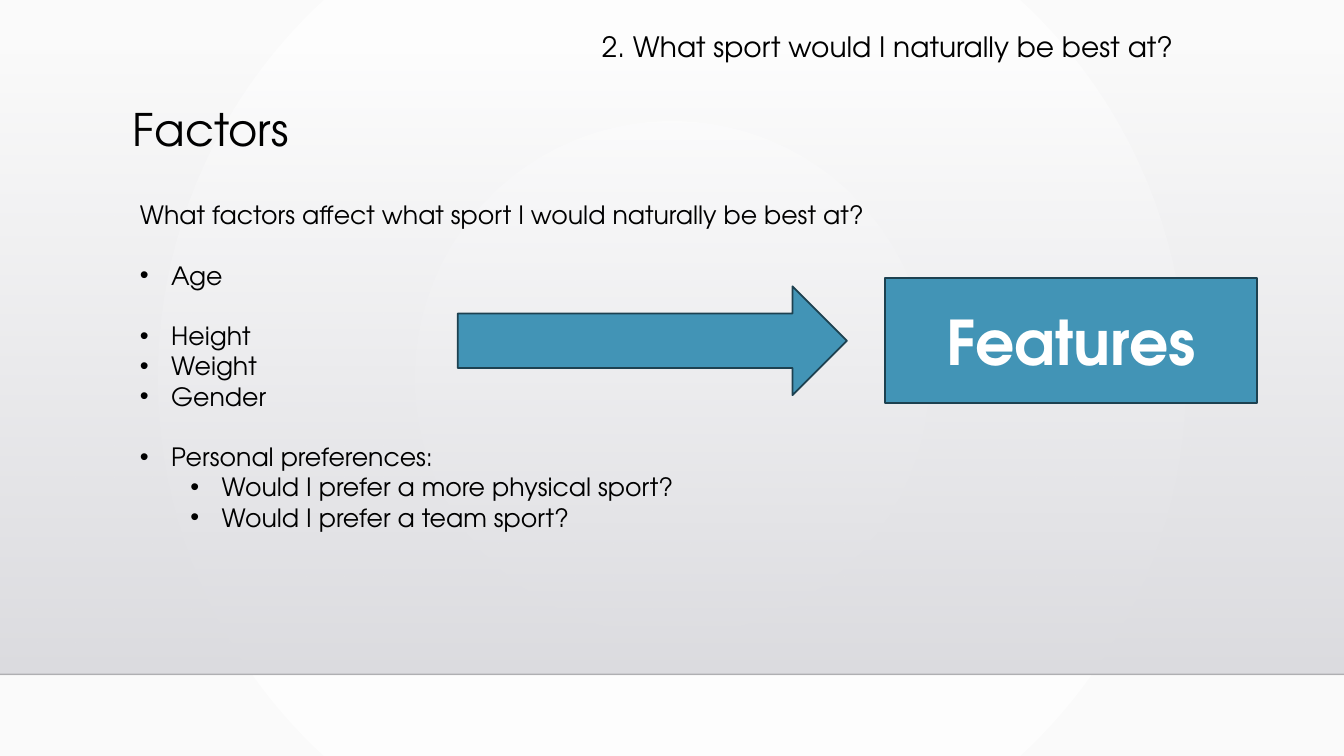
from dataclasses import dataclass

from pptx import Presentation
from pptx.dml.color import RGBColor as Rgb
from pptx.enum.shapes import MSO_CONNECTOR as Link, MSO_SHAPE as Form
from pptx.enum.text import MSO_ANCHOR as Anchor, MSO_AUTO_SIZE as Fit, PP_ALIGN as Align
from pptx.oxml import parse_xml
from pptx.oxml.ns import nsdecls, qn
from pptx.util import Inches, Pt


@dataclass(frozen=True)
class Theme:
    face: str = "TeX Gyre Adventor"
    ink: str = "000000"
    paper: str = "FFFFFF"
    edge: str = "FAFAFA"
    haze: str = "DCDCE0"
    floor: str = "DEDEE2"
    rule: str = "000001"
    accent: str = "4294B6"
    rim: str = "1D4150"
    title: int = 20
    head: int = 32
    body: int = 18
    label: int = 44


THEME = Theme()
COLS, ROWS = 133.3, 75
CELL = Inches(0.1)
PITCH = 1.2
INDENT, STEP = 3.1, 5

FACTORS = [
    ("Age", 0, True),
    ("Height", 0, True),
    ("Weight", 0, False),
    ("Gender", 0, False),
    ("Personal preferences:", 0, True),
    ("Would I prefer a more physical sport?", 1, False),
    ("Would I prefer a team sport?", 1, False),
]


def put(item, form):
    for key, value in form.items():
        setattr(item, key, value)


def cells(*sizes):
    return [round(size * CELL) for size in sizes]


def style(para, text, size, color=THEME.ink, bold=False, **form):
    para.text = text
    put(para, form)
    put(para.font, {"name": THEME.face, "size": Pt(size), "bold": bold})
    para.font.color.rgb = Rgb.from_string(color)


def fade(color, share):
    alpha = parse_xml(f'<a:alpha {nsdecls("a")} val="{share * 1000}"/>')
    color.append(alpha)


def blend(fill, tones):
    fill.gradient()
    for stop, tone in zip(fill.gradient_stops, tones):
        stop.color.rgb = Rgb.from_string(tone)


def frame(slide, box):
    text = slide.shapes.add_textbox(*cells(*box)).text_frame
    put(text, {"word_wrap": True, "vertical_anchor": Anchor.TOP})
    return text


def solid(slide, kind, box):
    shape = slide.shapes.add_shape(kind, *cells(*box))
    shape.shadow.inherit = False
    shape.fill.solid()
    shape.fill.fore_color.rgb = Rgb.from_string(THEME.accent)
    shape.line.color.rgb = Rgb.from_string(THEME.rim)
    shape.line.width = Pt(1.25)
    return shape


def backdrop(slide, box):
    fill = slide.background.fill
    blend(fill, (THEME.paper, THEME.edge))
    grad = slide.background._cSld.find(f".//{qn('a:gradFill')}")
    grad.replace(grad.find(qn("a:lin")), parse_xml(
        f'<a:path {nsdecls("a")} path="circle">'
        '<a:fillToRect l="50000" t="50000" r="50000" b="50000"/></a:path>'))

    left, top, width, height = box
    band = slide.shapes.add_shape(Form.RECTANGLE, *cells(*box))
    band.shadow.inherit = False
    band.line.fill.background()
    blend(band.fill, (THEME.haze, THEME.floor))
    band.fill.gradient_angle = 270
    fade(band._element.spPr.find(f".//{qn('a:srgbClr')}"), 0)

    base = top + height
    rule = slide.shapes.add_connector(
        Link.STRAIGHT, *cells(left, base, left + width, base))
    rule.line.color.rgb = Rgb.from_string(THEME.rule)
    rule.line.width = Pt(1)
    props = rule._element.spPr
    fade(props.find(f".//{qn('a:srgbClr')}"), 20)
    props.append(parse_xml(f'<a:effectLst {nsdecls("a")}/>'))


def heading(slide, box):
    title = slide.shapes.title
    slide.shapes._spTree.append(title._element)
    put(title, dict(zip(("left", "top", "width", "height"), cells(*box))))
    put(title.text_frame, {"word_wrap": True, "auto_size": Fit.NONE,
                           "vertical_anchor": Anchor.TOP})
    style(title.text_frame.paragraphs[0],
          "2. What sport would I naturally be best at?", THEME.title,
          alignment=Align.LEFT, line_spacing=0.9)


def topic(slide, box):
    style(frame(slide, box).paragraphs[0], "Factors", THEME.head,
          line_spacing=0.9)


def factors(slide, box):
    text = frame(slide, box)
    style(text.paragraphs[0],
          "What factors affect what sport I would naturally be best at?",
          THEME.body)
    for words, level, gap in FACTORS:
        para = text.add_paragraph()
        props = para._p.get_or_add_pPr()
        left, hang = cells(INDENT + level * STEP, -INDENT)
        props.set("marL", str(left))
        props.set("indent", str(hang))
        for tag in ('buFont typeface="Arial"', 'buChar char="•"'):
            name, value = tag.split(" ", 1)
            props.append(parse_xml(f'<a:{name} {nsdecls("a")} {value}/>'))
        style(para, words, THEME.body, level=level,
              space_before=Pt(THEME.body * PITCH if gap else 0))


def flow(slide, box):
    left, top, width, height = box
    long, tall, wide = 38.6, 10.8, 36.9
    solid(slide, Form.RIGHT_ARROW,
          (left, top + (height - tall) / 2, long, tall))
    card = solid(slide, Form.RECTANGLE,
                 (left + width - wide, top, wide, height))
    card.text_frame.vertical_anchor = Anchor.MIDDLE
    style(card.text_frame.paragraphs[0], "Features", THEME.label,
          THEME.paper, True, alignment=Align.CENTER)


def main():
    deck = Presentation()
    deck.slide_width, deck.slide_height = cells(COLS, ROWS)
    slide = deck.slides.add_slide(deck.slide_layouts[5])
    backdrop(slide, (0, 5.1, COLS, 61.8))
    heading(slide, (58.7, 2.8, 61.9, 7.1))
    topic(slide, (12.2, 10.2, 105, 7.1))
    factors(slide, (12.9, 19.3, 80.3, 34.3))
    flow(slide, (45.4, 27.6, 79.3, 12.4))
    deck.save("out.pptx")


if __name__ == "__main__":
    main()
